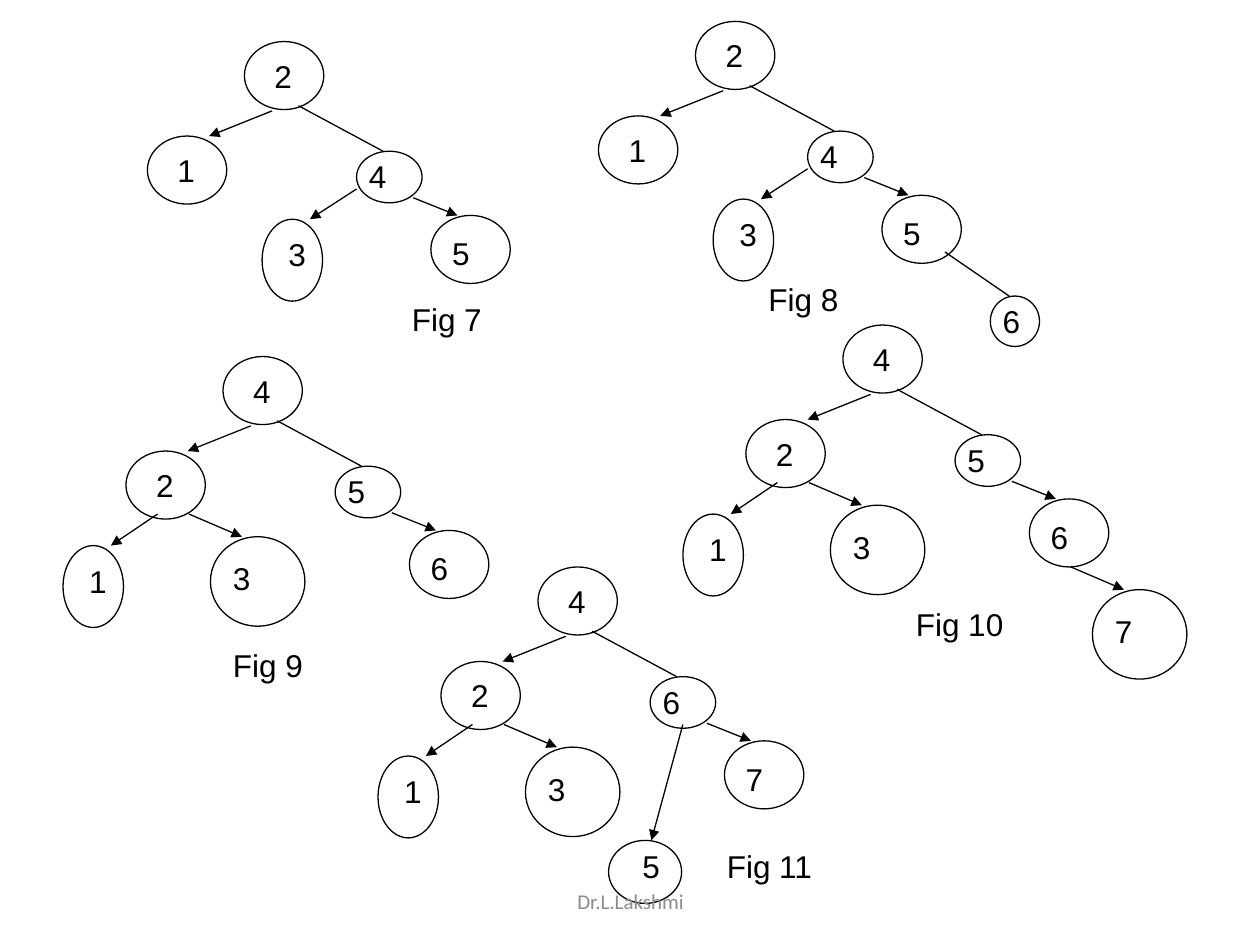
from pptx import Presentation
from pptx.dml.color import RGBColor
from pptx.enum.shapes import MSO_CONNECTOR, MSO_SHAPE
from pptx.enum.text import MSO_ANCHOR, PP_ALIGN
from pptx.oxml.ns import qn
from pptx.util import Inches, Pt
from lxml import etree

OVAL = MSO_SHAPE.OVAL
LINE = MSO_CONNECTOR.STRAIGHT
MIDDLE = MSO_ANCHOR.MIDDLE
CENTER = PP_ALIGN.CENTER
BLACK = RGBColor(0x00, 0x00, 0x00)
GRAY = RGBColor(0x8C, 0x8C, 0x8C)

BODY = {"name": "Arial", "size": Pt(18)}
SMALL = {"name": "Calibri", "size": Pt(12)}

# Node sizes: oval width and height, then label offset and label size
SIZES = {
    "root": (0.63, 0.54, 0.14, 0.07, 1.12, 0.4),
    "left": (0.63, 0.54, 0.14, 0.07, 0.7, 0.4),
    "right": (0.52, 0.41, 0, 0, 0.52, 0.5),
    "leaf": (0.63, 0.54, 0.07, 0.1, 0.84, 0.4),
    "tall": (0.48, 0.65, 0.11, 0.08, 0.54, 0.4),
    "big": (0.75, 0.71, 0.08, 0.13, 1, 0.4),
    "tiny": (0.39, 0.4, 0, 0, 0.39, 0.5),
    "low": (0.58, 0.5, 0.17, 0, 0.83, 0.4),
}

# Tree slots, measured from the root: size, place, edge from parent, arrowhead
SLOTS = {
    "root": ("root", 0, 0, None, False),
    "L": ("left", -0.77, 0.75, (0.22, 0.55, -0.28, 0.75), True),
    "R": ("right", 0.89, 0.87, (0.43, 0.51, 1.1, 0.87), False),
    "LL": ("tall", -1.27, 1.5, (-0.52, 1.25, -0.89, 1.5), True),
    "LR": ("big", -0.1, 1.43, (-0.27, 1.25, 0.15, 1.43), True),
    "RL": ("tall", 0.14, 1.41, (0.89, 1.17, 0.52, 1.41), True),
    "RL low": ("low", 0.56, 2.17, (1.15, 1.25, 0.9, 2.17), True),
    "RR": ("leaf", 1.48, 1.38, (1.34, 1.24, 1.69, 1.38), True),
    "RRR": ("big", 1.98, 2.1, (1.81, 1.92, 2.23, 2.1), True),
    "RRR tiny": ("tiny", 2.34, 2.18, (1.98, 1.83, 2.49, 2.18), False),
}

# Trees: caption, caption place, root place, key in each slot
TREES = [
    ("Fig 7", 3.17, 2.33, 1.94, 0.33,
     {"root": 2, "L": 1, "R": 4, "RR": 5, "RL": 3}),
    ("Fig 8", 6, 2.17, 5.52, 0.17,
     {"root": 2, "L": 1, "R": 4, "RR": 5, "RL": 3, "RRR tiny": 6}),
    ("Fig 9", 1.75, 5.08, 1.77, 2.83,
     {"root": 4, "L": 2, "R": 5, "RR": 6, "LL": 1, "LR": 3}),
    ("Fig 10", 7.17, 4.75, 6.69, 2.58,
     {"root": 4, "L": 2, "R": 5, "RR": 6, "LL": 1, "LR": 3, "RRR": 7}),
    ("Fig 11", 5.67, 6.67, 4.27, 4.5,
     {"root": 4, "L": 2, "R": 6, "RR": 7, "LL": 1, "LR": 3, "RL low": 5}),
]


def add_text(shapes, words, x, y, w, h, style=BODY, color=BLACK):
    box = shapes.add_textbox(Inches(x), Inches(y), Inches(w), Inches(h))
    box.text_frame.word_wrap = True
    par = box.text_frame.paragraphs[0]
    par.text = words
    for key, value in style.items():
        setattr(par.font, key, value)
    par.font.color.rgb = color
    return box


def add_edge(shapes, x1, y1, x2, y2, arrow):
    edge = shapes.add_connector(LINE, Inches(x1), Inches(y1),
                                Inches(x2), Inches(y2))
    edge.line.color.rgb = BLACK
    edge.line.width = Pt(0.75)
    if arrow:
        tail = etree.SubElement(edge.line._get_or_add_ln(), qn("a:tailEnd"))
        tail.set("type", "triangle")
    etree.SubElement(edge._element.spPr, qn("a:effectLst"))


deck = Presentation()
deck.slide_width = Inches(10)
deck.slide_height = Inches(7.5)
slide = deck.slides.add_slide(deck.slide_layouts[6])

# Five trees, one group each
for title, cap_x, cap_y, left, top, keys in TREES:
    group = slide.shapes.add_group_shape()
    group.name = title
    for slot, key in keys.items():
        size, dx, dy, edge, arrow = SLOTS[slot]
        w, h, text_x, text_y, text_w, text_h = SIZES[size]
        x, y = left + dx, top + dy
        node = group.shapes.add_shape(OVAL, Inches(x), Inches(y),
                                      Inches(w), Inches(h))
        node.shadow.inherit = False
        node.fill.background()
        node.line.color.rgb = BLACK
        node.line.width = Pt(0.75)
        add_text(group.shapes, str(key), x + text_x, y + text_y, text_w, text_h)
        if edge:
            x1, y1, x2, y2 = edge
            add_edge(group.shapes, left + x1, top + y1,
                     left + x2, top + y2, arrow)
    add_text(group.shapes, title, cap_x, cap_y, 1.25, 0.4)

# Footer
foot = add_text(slide.shapes, "Dr.L.Lakshmi", 3.42, 6.95, 3.17, 0.4, SMALL, GRAY)
foot.text_frame.vertical_anchor = MIDDLE
foot.text_frame.paragraphs[0].alignment = CENTER

deck.save("out.pptx")
